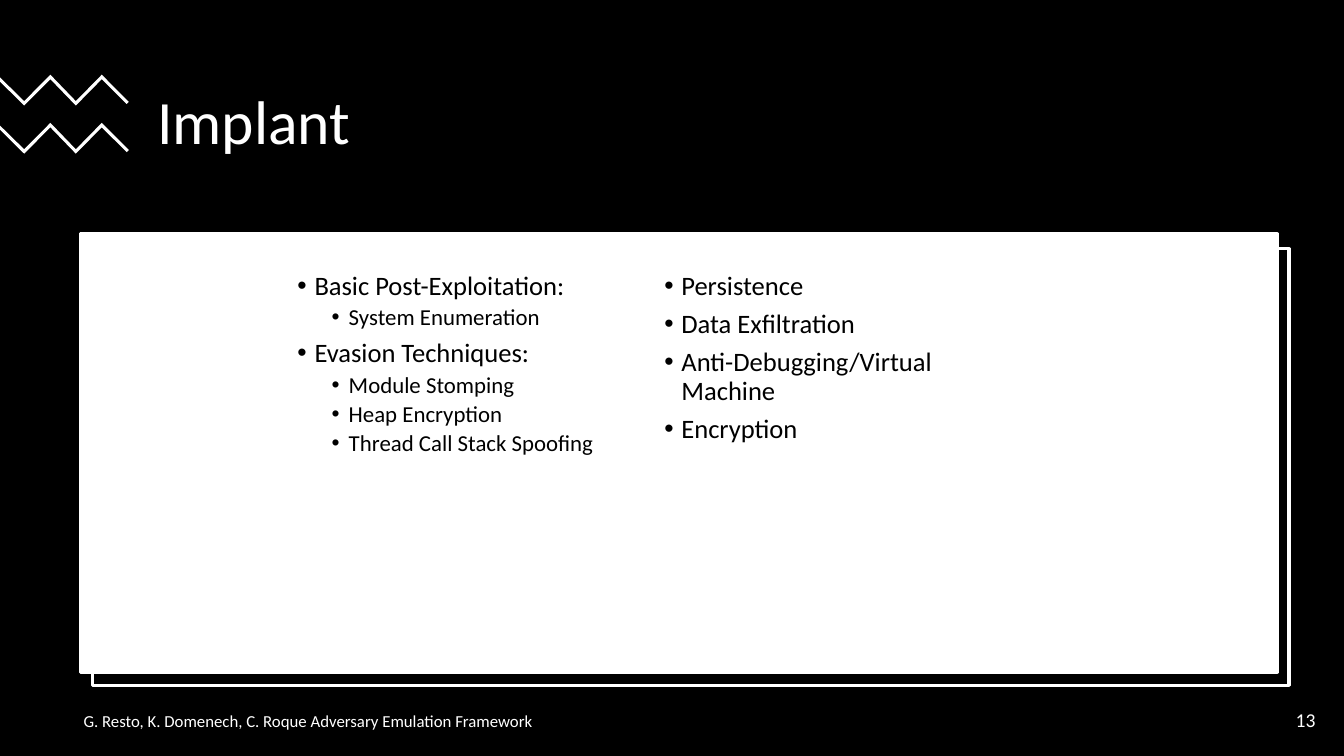
from lxml import etree
from pptx import Presentation
from pptx import util as u
from pptx.dml.color import RGBColor
from pptx.enum import shapes, text
from pptx.oxml import ns

BLACK = RGBColor(0x00, 0x00, 0x00)
WHITE = RGBColor(0xFF, 0xFF, 0xFF)
FONT = "Calibri"

TITLE = "Implant"
CREDIT = "G. Resto, K. Domenech, C. Roque Adversary Emulation Framework"
PAGE_NUMBER = "13"
# Each topic is (level, wording)
TOPIC_COLUMNS = [
    [
        (0, "Basic Post-Exploitation:"),
        (1, "System Enumeration"),
        (0, "Evasion Techniques:"),
        (1, "Module Stomping"),
        (1, "Heap Encryption"),
        (1, "Thread Call Stack Spoofing"),
    ],
    [
        (0, "Persistence"),
        (0, "Data Exfiltration"),
        (0, "Anti-Debugging/Virtual Machine"),
        (0, "Encryption"),
    ],
]

SLIDE_SIZE = (960, 540)
TITLE_BOX = (105.1, 44.6, 767.5, 88.6)
CREDIT_BOX = (52.6, 504, 584.6, 21.8)
NUMBER_BOX = (797.8, 504.7, 149, 19.4)
PANEL_BACK = (66.2, 177.8, 854.6, 311.8)
PANEL_FRONT = (57.6, 167, 854.6, 313.2)
COLUMN_BOX = (205.2, 190.8, 239, 236.2)
COLUMN_PITCH = 262.1

ZIGZAG_TOPS = (53.4, 87.8)
ZIGZAG_OUTLINE = [
    (36, 0), (54.2, 18.9), (72.7, 0), (92, 19.4), (90.5, 20.9), (72.7, 3.2),
    (54.2, 22), (36, 3.2), (17.3, 22), (0, 4.9), (0, 1.9), (17.3, 18.9),
]

LEVELS = [
    {"size": 19, "before": 6.8, "margin": 12.24},
    {"size": 16.3, "before": 3.4, "margin": 36.72},
]
HANGING = 12.24


def points(values):
    return [u.Pt(value) for value in values]


def set_all(target, values):
    for name, value in values.items():
        setattr(target, name, value)


def place(part, box):
    set_all(part, dict(zip(("left", "top", "width", "height"), points(box))))


def style_font(paragraph, size, color):
    set_all(paragraph.font, {"name": FONT, "size": u.Pt(size)})
    paragraph.font.color.rgb = color


def paint(part, fill, outline=None):
    part.shadow.inherit = False
    part.fill.solid()
    part.fill.fore_color.rgb = fill
    if outline is None:
        part.line.fill.background()
    else:
        part.line.color.rgb = outline
        part.line.width = u.Pt(2.25)


def add_panel(slide, box, fill, outline=None):
    panel = slide.shapes.add_shape(shapes.MSO_SHAPE.RECTANGLE, *points(box))
    paint(panel, fill, outline)


def add_zigzag(slide, top):
    outline = [points((x, top + y)) for x, y in ZIGZAG_OUTLINE]
    builder = slide.shapes.build_freeform(*outline[0])
    builder.add_line_segments(outline[1:], close=True)
    paint(builder.convert_to_shape(), WHITE)


def bring_to_front(part):
    part.element.getparent().append(part.element)


def write_line(part, wording, size, frame_format, paragraph_format):
    set_all(part.text_frame, {"word_wrap": True, **frame_format})
    line = part.text_frame.paragraphs[0]
    line.text = wording
    set_all(line, paragraph_format)
    style_font(line, size, WHITE)


def add_bullet(paragraph, margin):
    properties = paragraph._p.get_or_add_pPr()
    properties.set("marL", str(u.Pt(margin)))
    properties.set("indent", str(-u.Pt(HANGING)))
    font = etree.SubElement(properties, ns.qn("a:buFont"))
    font.set("typeface", "Arial")
    etree.SubElement(properties, ns.qn("a:buChar")).set("char", "•")


def fill_topics(body, topics):
    frame = body.text_frame
    set_all(frame, {"word_wrap": True, "auto_size": text.MSO_AUTO_SIZE.NONE,
                    "vertical_anchor": text.MSO_ANCHOR.TOP})
    for index, (level, wording) in enumerate(topics):
        topic = frame.add_paragraph() if index else frame.paragraphs[0]
        topic.text = wording
        look = LEVELS[level]
        set_all(topic, {"level": level, "line_spacing": 0.9,
                        "space_before": u.Pt(look["before"]),
                        "alignment": text.PP_ALIGN.LEFT})
        style_font(topic, look["size"], BLACK)
        add_bullet(topic, look["margin"])


def main():
    deck = Presentation()
    deck.slide_width, deck.slide_height = points(SLIDE_SIZE)
    slide = deck.slides.add_slide(deck.slide_layouts.get_by_name("Two Content"))
    middle = text.MSO_ANCHOR.MIDDLE

    add_panel(slide, (0, 0, *SLIDE_SIZE), BLACK)
    title = slide.shapes.title
    bring_to_front(title)
    place(title, TITLE_BOX)
    write_line(title, TITLE, 44,
               {"vertical_anchor": middle, "auto_size": text.MSO_AUTO_SIZE.NONE},
               {"alignment": text.PP_ALIGN.LEFT, "line_spacing": 0.9})

    for top in ZIGZAG_TOPS:
        add_zigzag(slide, top)
    add_panel(slide, PANEL_BACK, BLACK, WHITE)
    add_panel(slide, PANEL_FRONT, WHITE, WHITE)

    left, *rest = COLUMN_BOX
    for column, topics in enumerate(TOPIC_COLUMNS):
        body = slide.placeholders[column + 1]
        bring_to_front(body)
        place(body, (left + column * COLUMN_PITCH, *rest))
        fill_topics(body, topics)

    number = slide.shapes.add_textbox(*points(NUMBER_BOX))
    write_line(number, PAGE_NUMBER, 14, {"vertical_anchor": middle},
               {"alignment": text.PP_ALIGN.RIGHT, "space_after": u.Pt(6)})
    credit = slide.shapes.add_textbox(*points(CREDIT_BOX))
    write_line(credit, CREDIT, 12,
               {"auto_size": text.MSO_AUTO_SIZE.SHAPE_TO_FIT_TEXT},
               {"alignment": text.PP_ALIGN.LEFT})

    deck.save("out.pptx")


if __name__ == "__main__":
    main()
